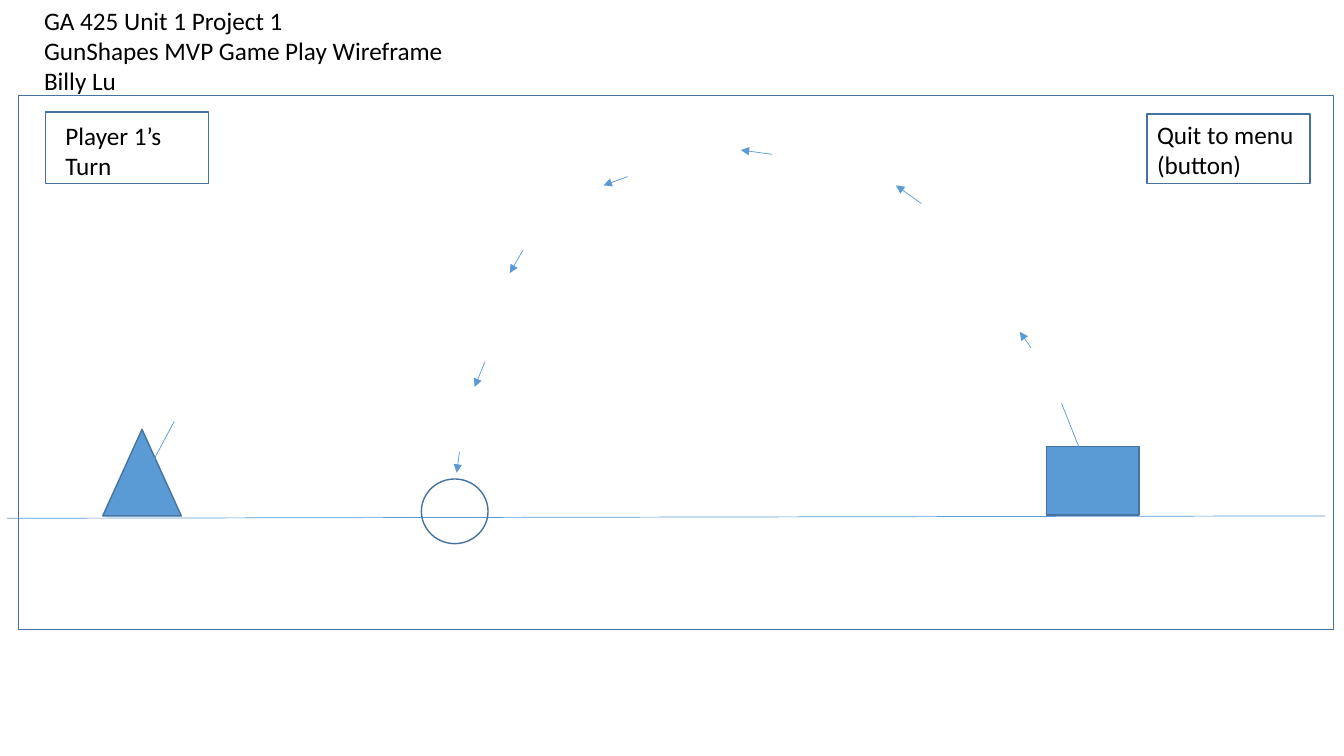
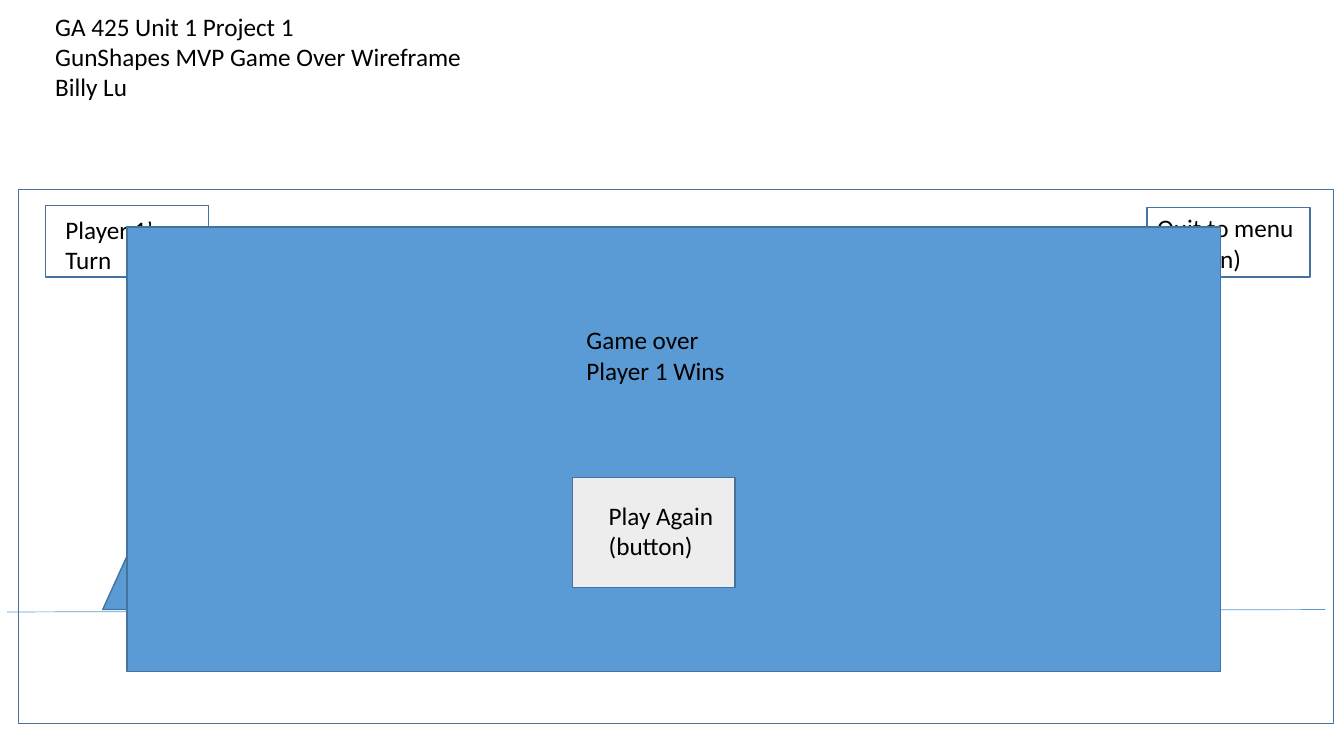
from lxml import etree
from pptx import Presentation
from pptx import util as u
from pptx.dml.color import RGBColor
from pptx.enum import shapes, text
from pptx.oxml.ns import qn

BLUE = RGBColor(0x5B, 0x9B, 0xD5)
EDGE = RGBColor(0x43, 0x73, 0x9E)
GREY = RGBColor(0xED, 0xED, 0xED)
BLACK = RGBColor(0, 0, 0)

FONT = {"name": "Calibri", "size": u.Pt(18), "bold": False}
FRAME = {
    "word_wrap": True,
    "auto_size": text.MSO_AUTO_SIZE.NONE,
    "vertical_anchor": text.MSO_ANCHOR.TOP,
    "margin_left": u.Cm(0.25),
    "margin_right": u.Cm(0.25),
    "margin_top": u.Cm(0.13),
    "margin_bottom": u.Cm(0.13),
}
KIND = shapes.MSO_SHAPE
DROP = 2.36

BARRELS = [
    (3.58, 12.14, 4.39, 10.62),
    (27.53, 12.12, 26.75, 10.16),
]
FLIGHT = [
    (25.98, 8.76, 25.7, 8.36),
    (23.22, 5.13, 22.58, 4.67),
    (19.46, 3.89, 18.67, 3.78),
    (15.82, 4.45, 15.21, 4.67),
    (13.18, 6.3, 12.85, 6.88),
    (12.22, 9.12, 11.96, 9.75),
    (11.58, 11.38, 11.51, 11.91),
]


def apply(item, form):
    for key, val in form.items():
        setattr(item, key, val)


def write(frame, words):
    frame.text = words
    apply(frame, FRAME)
    for para in frame.paragraphs:
        para.alignment = text.PP_ALIGN.LEFT
        apply(para.font, FONT)
        para.font.color.rgb = BLACK


def head(slide, words, *box):
    title = slide.shapes.title
    apply(title, dict(zip(("left", "top", "width", "height"), map(u.Cm, box))))
    write(title.text_frame, words)


def label(slide, words, *box):
    write(slide.shapes.add_textbox(*map(u.Cm, box)).text_frame, words)


def block(slide, kind, box, fill=None):
    shape = slide.shapes.add_shape(kind, *map(u.Cm, box))
    shape.shadow.inherit = False
    if fill is None:
        shape.fill.background()
    else:
        shape.fill.solid()
        shape.fill.fore_color.rgb = fill
    shape.line.color.rgb = EDGE
    shape.line.width = u.Pt(1)


def stroke(slide, ends, arrow=False):
    line = slide.shapes.add_connector(
        shapes.MSO_CONNECTOR.STRAIGHT, *map(u.Cm, ends))
    line.line.color.rgb = BLUE
    line.line.width = u.Pt(0.5)
    props = line._element.spPr
    if arrow:
        tail = etree.SubElement(props.find(qn("a:ln")), qn("a:tailEnd"))
        tail.set("type", "triangle")
    etree.SubElement(props, qn("a:effectLst"))


def scene(slide, drop=0):
    stroke(slide, (0.18, 13.06 + drop, 33.4, 13 + drop))
    block(slide, KIND.ISOSCELES_TRIANGLE, (2.59, 10.82 + drop, 1.98, 2.18), BLUE)
    block(slide, KIND.RECTANGLE, (0.46, 2.41 + drop, 33.15, 13.46))
    block(slide, KIND.RECTANGLE, (28.91, 2.87 + drop, 4.11, 1.75))
    label(slide, "Quit to menu\n(button)", 28.91, 2.87 + drop, 4.11, 1.8)
    block(slide, KIND.RECTANGLE, (1.14, 2.82 + drop, 4.11, 1.8))
    label(slide, "Player 1’s Turn", 1.4, 2.9 + drop, 4.11, 1.8)


def play(slide):
    head(slide, "GA 425 Unit 1 Project 1\nGunShapes MVP Game Play Wireframe\nBilly Lu",
         0.86, 0, 10.9, 2.57)
    scene(slide)
    block(slide, KIND.RECTANGLE, (26.37, 11.25, 2.34, 1.73), BLUE)
    for ends in BARRELS:
        stroke(slide, ends)
    for ends in FLIGHT:
        stroke(slide, ends, arrow=True)
    block(slide, KIND.OVAL, (10.62, 12.07, 1.68, 1.63))


def over(slide):
    head(slide, "GA 425 Unit 1 Project 1\nGunShapes MVP Game Over Wireframe\nBilly Lu",
         1.14, 0.15, 13.79, 2.57)
    scene(slide, DROP)
    block(slide, KIND.RECTANGLE, (3.2, 5.72, 27.56, 11.2), BLUE)
    label(slide, "Game over\nPlayer 1 Wins", 14.53, 8.05, 6.63, 1.8)
    block(slide, KIND.RECTANGLE, (14.43, 12.04, 4.09, 2.77), GREY)
    label(slide, "Play Again\n(button)", 15.09, 12.47, 3.35, 1.8)


def main():
    deck = Presentation()
    apply(deck, {"slide_width": u.Cm(33.87), "slide_height": u.Cm(19.05)})
    for draw in (play, over):
        draw(deck.slides.add_slide(deck.slide_layouts[5]))
    deck.save("out.pptx")


main()
